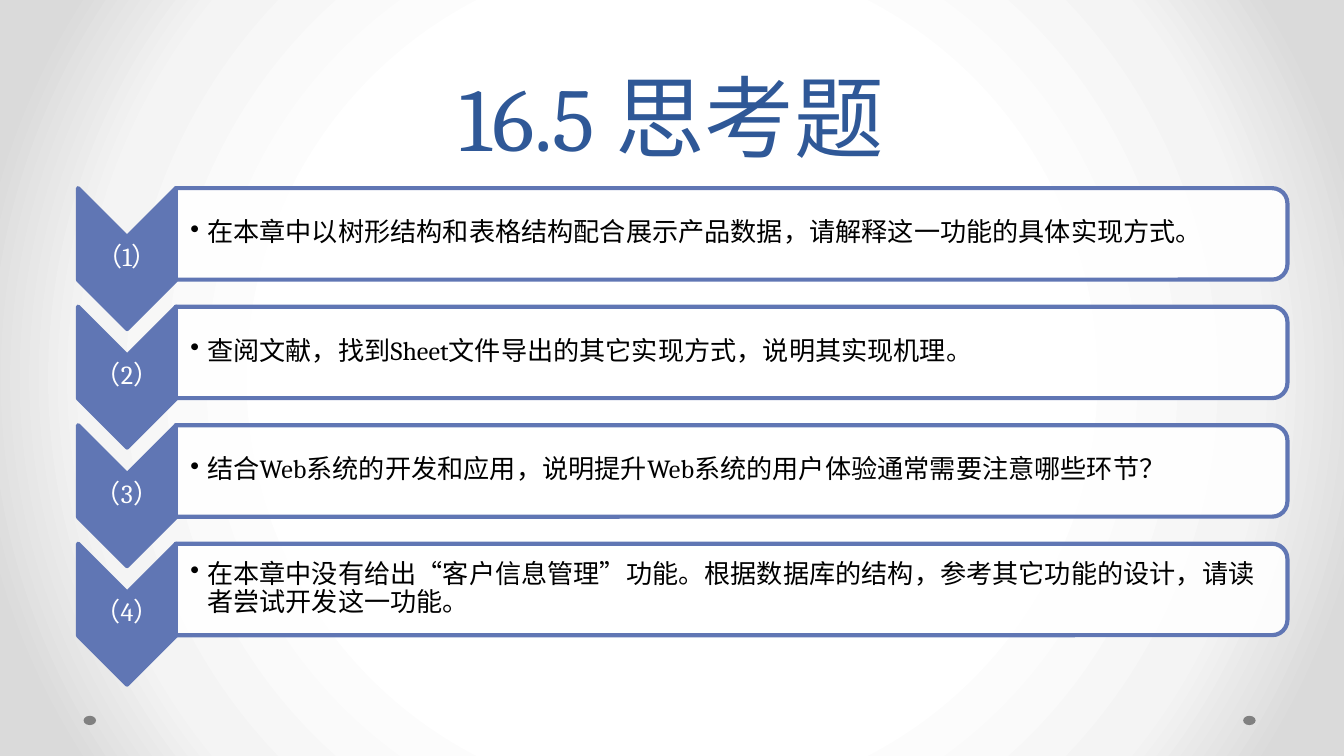
"""Build the review-questions slide with numbered chevrons and answer panels."""
from dataclasses import dataclass

from lxml.etree import SubElement
from pptx import Presentation
from pptx.dml.color import RGBColor
from pptx.enum.shapes import MSO_SHAPE
from pptx.enum.text import MSO_ANCHOR, MSO_AUTO_SIZE, PP_ALIGN
from pptx.oxml.ns import qn
from pptx.util import Pt

CHEVRON = MSO_SHAPE.CHEVRON
PANEL = MSO_SHAPE.ROUND_2_SAME_RECTANGLE
OVAL = MSO_SHAPE.OVAL
BOTTOM, MIDDLE = MSO_ANCHOR.BOTTOM, MSO_ANCHOR.MIDDLE
LEFT, CENTER = PP_ALIGN.LEFT, PP_ALIGN.CENTER
NO_FIT = MSO_AUTO_SIZE.NONE
TITLE_ONLY = 5


@dataclass(frozen=True)
class Theme:
    font: str = "Cambria"
    title_size: float = 48
    body_size: float = 14
    title: str = "2F5897"
    accent: str = "6076B4"
    white: str = "FFFFFF"
    ink: str = "000000"
    dot: str = "808080"
    outline: float = 2.25
    backdrop: tuple = ((50, "FFFFFF"), (76, "F4F4F4"), (92, "DADADA"))


QUESTIONS = (
    "在本章中以树形结构和表格结构配合展示产品数据，请解释这一功能的具体实现方式。",
    "查阅文献，找到Sheet文件导出的其它实现方式，说明其实现机理。",
    "结合Web系统的开发和应用，说明提升Web系统的用户体验通常需要注意哪些环节？",
    "在本章中没有给出“客户信息管理”功能。根据数据库的结构，参考其它功能的设计，请读者尝试开发这一功能。",
)
FIRST_TOP, ROW_PITCH = 100.8, 63.5


def write(frame, text, *, font, size, color, align=LEFT, anchor=MIDDLE,
          spacing=0.9, insets=None, bullet_indent=None):
    frame.word_wrap = True
    frame.auto_size = NO_FIT
    frame.vertical_anchor = anchor
    if insets:
        (frame.margin_left, frame.margin_top,
         frame.margin_right, frame.margin_bottom) = map(Pt, insets)
    paragraph = frame.paragraphs[0]
    paragraph.alignment = align
    paragraph.line_spacing = spacing
    if bullet_indent:
        properties = paragraph._p.get_or_add_pPr()
        properties.set("marL", str(Pt(bullet_indent)))
        properties.set("indent", str(-Pt(bullet_indent)))
        SubElement(properties, qn("a:buChar"), char="•")
    run = paragraph.add_run()
    run.text = text
    run.font.name = font
    run.font.size = Pt(size)
    run.font.color.rgb = RGBColor.from_string(color)


class QuestionSlide:
    def __init__(self, slide, theme):
        self.slide, self.theme = slide, theme

    def backdrop(self):
        self.slide.background.fill.solid()
        properties = self.slide.element.find(".//" + qn("p:bgPr"))
        properties.remove(properties.find(qn("a:solidFill")))
        gradient = SubElement(properties, qn("a:gradFill"), rotWithShape="1")
        properties.insert(0, gradient)
        stops = SubElement(gradient, qn("a:gsLst"))
        for percent, color in self.theme.backdrop:
            stop = SubElement(stops, qn("a:gs"), pos=str(percent * 1000))
            SubElement(stop, qn("a:srgbClr"), val=color)
        circle = SubElement(gradient, qn("a:path"), path="circle")
        SubElement(circle, qn("a:fillToRect"),
                   dict.fromkeys("ltrb", "50000"))

    def title(self, text, left, top, width, height):
        heading = self.slide.shapes.title
        heading.left, heading.top = Pt(left), Pt(top)
        heading.width, heading.height = Pt(width), Pt(height)
        write(heading.text_frame, text, font=self.theme.font,
              size=self.theme.title_size, color=self.theme.title,
              align=CENTER, anchor=BOTTOM, spacing=Pt(58))

    def shape(self, kind, left, top, width, height, fill, line=None, opacity=None):
        shape = self.slide.shapes.add_shape(
            kind, Pt(left), Pt(top), Pt(width), Pt(height))
        shape.shadow.inherit = False
        shape.fill.solid()
        shape.fill.fore_color.rgb = RGBColor.from_string(fill)
        if opacity:
            tint = shape._element.spPr.find(".//" + qn("a:srgbClr"))
            SubElement(tint, qn("a:alpha"), val=str(opacity * 1000))
        if line:
            shape.line.color.rgb = RGBColor.from_string(line)
            shape.line.width = Pt(self.theme.outline)
        else:
            shape.line.fill.background()
        return shape

    def quarter_turned(self, kind, left, top, width, height, fill, **style):
        shift = (width - height) / 2
        shape = self.shape(kind, left + shift, top - shift, height, width,
                           fill, **style)
        shape.rotation = 90

    def label(self, text, left, top, width, height, **style):
        box = self.slide.shapes.add_textbox(
            Pt(left), Pt(top), Pt(width), Pt(height))
        write(box.text_frame, text, font=self.theme.font,
              size=self.theme.body_size, **style)

    def question(self, number, text, top):
        theme = self.theme
        self.quarter_turned(CHEVRON, 41.8, top, 52.5, 75.5, theme.accent,
                            line=theme.accent)
        self.label(f"（{number}）", 41.8, top + 26, 52.5, 22.5,
                   color=theme.white, align=CENTER, insets=(0.7,) * 4)
        self.quarter_turned(PANEL, 94.2, top, 595.5, 49, theme.white,
                            line=theme.accent, opacity=90)
        self.label(text, 94.2, top + 2.3, 592.8, 44, color=theme.ink,
                   insets=(7.8, 0.7, 0.7, 0.7), bullet_indent=9)


def main():
    deck = Presentation()
    deck.slide_width, deck.slide_height = Pt(720), Pt(405)
    slide = deck.slides.add_slide(deck.slide_layouts[TITLE_ONLY])
    page = QuestionSlide(slide, Theme())
    page.backdrop()
    for left in (666, 44.8):
        page.shape(OVAL, left, 383.5, 6.7, 5, page.theme.dot)
    page.title("16.5 思考题", 36, 0, 648, 94.5)
    for index, text in enumerate(QUESTIONS):
        page.question(index + 1, text, FIRST_TOP + index * ROW_PITCH)
    deck.save("out.pptx")


if __name__ == "__main__":
    main()
